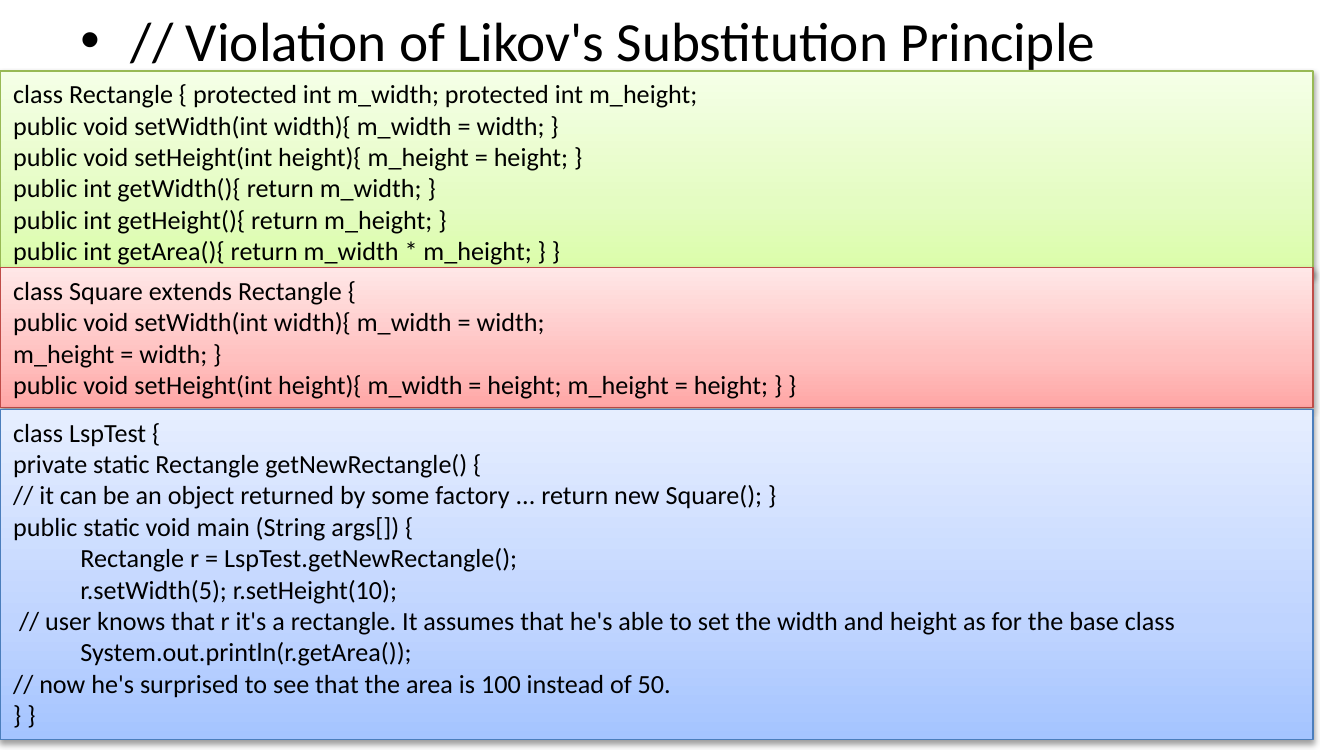
from lxml import etree
from pptx import Presentation
from pptx import util as u
from pptx.dml.color import RGBColor
from pptx.enum import shapes, text
from pptx.oxml.ns import qn

Pt = u.Pt
HUES = {
    "ink": "000000",
    "green": ("98B955", "DAFDA7", "E4FCC2", "F5FFE7"),
    "red": ("BF4C48", "FFA6A5", "FFC0BF", "FFE7E7"),
    "blue": ("4B7EBC", "A4C4FF", "BFD4FF", "E6EEFF"),
}


class Deck:
    font, size, head = "Calibri", 14, 29.6
    stops = (0, 35, 100)

    def __init__(self, slide):
        self.slide = slide

    def label(self, frame, lines, size):
        frame.word_wrap = True
        frame.vertical_anchor = text.MSO_ANCHOR.TOP
        for i, line in enumerate(lines):
            para = frame.add_paragraph() if i else frame.paragraphs[0]
            para.text = line
            para.alignment = text.PP_ALIGN.LEFT
            para.font.name = self.font
            para.font.size = Pt(size)
            para.font.color.rgb = RGBColor.from_string(HUES["ink"])

    def title(self, line, x, y, w, h):
        box = self.slide.shapes.add_textbox(Pt(x), Pt(y), Pt(w), Pt(h))
        self.label(box.text_frame, [line], self.head)
        # Hanging bullet
        props = box.text_frame.paragraphs[0]._p.get_or_add_pPr()
        props.set("marL", str(Pt(27)))
        props.set("indent", str(-Pt(27)))
        font = etree.Element(qn("a:buFont"), typeface="Arial")
        mark = etree.Element(qn("a:buChar"), char="•")
        props.insert(0, font)
        props.insert(1, mark)

    def panel(self, hue, lines, x, y, w, h):
        box = self.slide.shapes.add_shape(
            shapes.MSO_SHAPE.RECTANGLE, Pt(x), Pt(y), Pt(w), Pt(h))
        edge, *tints = HUES[hue]
        box.line.color.rgb = RGBColor.from_string(edge)
        box.line.width = Pt(0.75)
        self.blend(box, tints)
        self.shade(box)
        self.label(box.text_frame, lines, self.size)

    def blend(self, box, tints):
        box.fill.gradient()
        box.fill.gradient_angle = 90
        ramp = box._element.spPr.find(".//" + qn("a:gsLst"))
        ramp.clear()
        for pos, tint in zip(self.stops, tints):
            stop = etree.SubElement(ramp, qn("a:gs"), pos=str(pos * 1000))
            etree.SubElement(stop, qn("a:srgbClr"), val=tint)

    def shade(self, box):
        box.shadow.inherit = False
        group = box._element.spPr.find(qn("a:effectLst"))
        drop = etree.SubElement(
            group, qn("a:outerShdw"), blurRad=str(Pt(3.1)),
            dist=str(Pt(1.6)), dir="5400000", rotWithShape="0")
        tone = etree.SubElement(drop, qn("a:srgbClr"), val=HUES["ink"])
        etree.SubElement(tone, qn("a:alpha"), val="38000")


# Code panels: hue, top, height, lines
PANELS = [
    ("green", 38.1, 109, [
        "class Rectangle { protected int m_width; protected int m_height;",
        "public void setWidth(int width){ m_width = width; }",
        "public void setHeight(int height){ m_height = height; }",
        "public int getWidth(){ return m_width; }",
        "public int getHeight(){ return m_height; }",
        "public int getArea(){ return m_width * m_height; } }",
    ]),
    ("red", 143.4, 75, [
        "class Square extends Rectangle {",
        "public void setWidth(int width){ m_width = width;",
        "m_height = width; }",
        "public void setHeight(int height){ m_width = height; m_height = height; } }",
    ]),
    ("blue", 219.4, 177, [
        "class LspTest {",
        "private static Rectangle getNewRectangle() {",
        "// it can be an object returned by some factory ... return new Square(); }",
        "public static void main (String args[]) {",
        "\tRectangle r = LspTest.getNewRectangle();",
        "\tr.setWidth(5); r.setHeight(10);",
        " // user knows that r it's a rectangle. It assumes that he's able "
        "to set the width and height as for the base class",
        "\tSystem.out.println(r.getArea());",
        "// now he's surprised to see that the area is 100 instead of 50.",
        "} }",
    ]),
]


def main():
    show = Presentation()
    show.slide_width, show.slide_height = Pt(720), Pt(405)
    deck = Deck(show.slides.add_slide(show.slide_layouts[6]))

    # Heading
    deck.title("// Violation of Likov's Substitution Principle", 36, 0, 648, 38.1)

    # Stacked code
    for hue, top, high, lines in PANELS:
        deck.panel(hue, lines, 0, top, 703.5, high)

    show.save("out.pptx")


if __name__ == "__main__":
    main()
